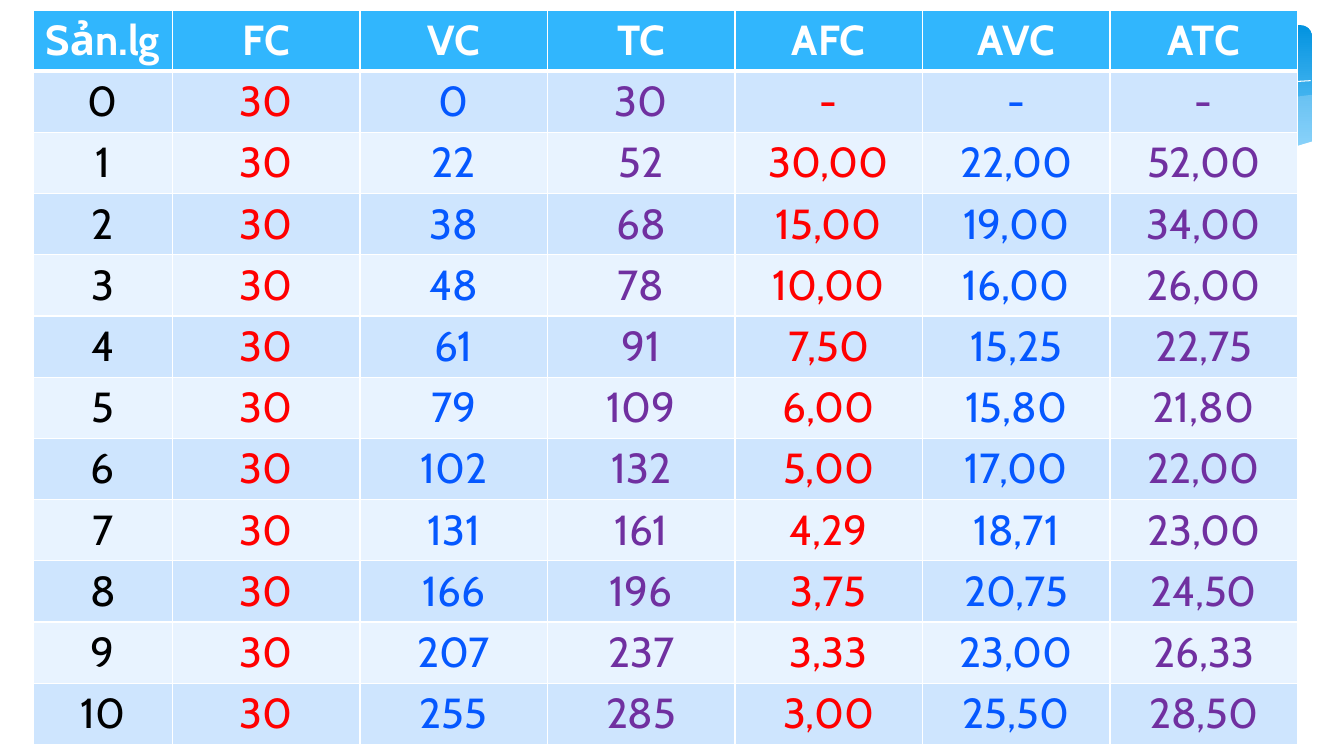
from lxml import etree
from pptx import Presentation
from pptx.dml.color import RGBColor
from pptx.enum.shapes import MSO_SHAPE as Preset
from pptx.enum.text import MSO_ANCHOR as Anchor, PP_ALIGN as Align
from pptx.oxml import parse_xml
from pptx.oxml.ns import nsdecls, qn
from pptx.util import Inches, Pt

# Content: cost figures by quantity, averages follow from the totals
HEADERS = ["Sản.lg", "FC", "VC", "TC", "AFC", "AVC", "ATC"]
FIXED_COST = 30
VARIABLE_COSTS = [0, 22, 38, 48, 61, 79, 102, 131, 166, 207, 255]

COLORS = {
    "white": "FFFFFF", "header": "31B6FD", "band_dark": "CEE5FE", "band_light": "E8F3FF",
    "quantity": "000000", "fixed": "FF0000", "variable": "0558FF", "total": "7030A0",
    "banner_top": "0293E0", "banner_bottom": "83D3FE", "swell": "C6E7FC",
}
COLUMN_COLORS = ["quantity"] + ["fixed", "variable", "total"] * 2
COLUMN_WIDTHS = [1.38] + [1.86] * 6
TABLE_LEFT, TABLE_TOP, TABLE_HEIGHT = 0.33, 0.1, 7.2
FONT = {"name": "Cabin", "size": Pt(30)}

# Banner waves, as outline points in inches
SWELL = [(13.01, 0.94), (12.46, 1.01), (11.88, 1.1), (11.1, 1.25), (10.05, 1.43),
         (8.82, 1.6), (9.58, 1.67), (10.41, 1.72), (11.13, 1.72), (11.86, 1.66),
         (12.47, 1.56), (13.01, 1.42)]
CREST = [(8.18, 1.51), (8.96, 1.35), (9.97, 1.17), (11.15, 0.99), (11.94, 0.88),
         (12.5, 0.83), (13, 0.8)]
BASE = [(13.03, 1.4), (12.66, 1.51), (12.13, 1.62), (11.51, 1.69), (10.78, 1.71),
        (9.92, 1.68), (8.91, 1.6), (7.72, 1.44), (6.34, 1.21), (5.21, 1.02),
        (4.21, 0.88), (3.33, 0.81), (2.58, 0.78), (1.76, 0.81), (1.01, 0.89),
        (0.54, 1), (0.31, 1.07), (0.31, 2.24), (13.03, 2.24)]


def rgb(name):
    return RGBColor.from_string(COLORS[name])


def paint(target, name):
    target.fill.solid()
    target.fill.fore_color.rgb = rgb(name)


def add_outline(points, closed=True):
    start, *rest = [(Inches(x), Inches(y)) for x, y in points]
    builder = slide.shapes.build_freeform(*start)
    builder.add_line_segments(rest, close=closed)
    shape = builder.convert_to_shape()
    shape.shadow.inherit = False
    return shape


def add_borders(cell, widths):
    properties = cell._tc.get_or_add_tcPr()
    for index, (side, width) in enumerate(widths.items()):
        properties.insert(index, parse_xml(
            f'<a:ln{side} {nsdecls("a")} w="{Pt(width)}"><a:solidFill>'
            f'<a:srgbClr val="{COLORS["white"]}"/></a:solidFill></a:ln{side}>'))


def decimal(value):
    return f"{value:.2f}".replace(".", ",")


def cost_row(quantity, variable):
    totals = [FIXED_COST, variable, FIXED_COST + variable]
    averages = [decimal(cost / quantity) if quantity else "-" for cost in totals]
    return [str(value) for value in [quantity, *totals]] + averages


presentation = Presentation()
presentation.slide_width, presentation.slide_height = Inches(13.33), Inches(7.5)
slide = presentation.slides.add_slide(presentation.slide_layouts[6])

# Banner behind the table
banner = slide.shapes.add_shape(Preset.ROUNDED_RECTANGLE, Inches(0.33), Inches(0.25),
                                Inches(12.68), Inches(1.56))
banner.adjustments[0] = 0.07
banner.shadow.inherit = False
banner.line.fill.background()
banner.fill.gradient()
banner.fill.gradient_angle = 270
for stop, (position, name) in zip(banner.fill.gradient_stops,
                                  [(0, "banner_top"), (0.9, "banner_bottom")]):
    stop.position = position
    stop.color.rgb = rgb(name)

# Waves across the banner
swell = add_outline(SWELL)
paint(swell, "swell")
swell.line.fill.background()
swell_color = swell._element.spPr.find(qn("a:solidFill"))[0]
etree.SubElement(swell_color, qn("a:alpha")).set("val", "29000")

crest = add_outline(CREST, closed=False)
crest.fill.background()
crest.line.color.rgb = rgb("white")
crest.line.width = Pt(0)

base = add_outline(BASE)
paint(base, "white")
base.line.fill.background()

# Cost table
rows = [HEADERS] + [cost_row(*pair) for pair in enumerate(VARIABLE_COSTS)]
table = slide.shapes.add_table(len(rows), len(HEADERS), Inches(TABLE_LEFT), Inches(TABLE_TOP),
                               Inches(sum(COLUMN_WIDTHS)), Inches(TABLE_HEIGHT)).table
table.first_row = table.horz_banding = False
for column, width in zip(table.columns, COLUMN_WIDTHS):
    column.width = Inches(width)

for row_index, row in enumerate(rows):
    is_header = row_index == 0
    band = "header" if is_header else "band_dark" if row_index % 2 else "band_light"
    borders = {"L": 1, "R": 1, "T": 3 if row_index == 1 else 1, "B": 3 if is_header else 1}
    for column_index, text in enumerate(row):
        cell = table.cell(row_index, column_index)
        cell.vertical_anchor = Anchor.TOP
        paint(cell, band)
        add_borders(cell, borders)
        paragraph = cell.text_frame.paragraphs[0]
        paragraph.alignment = Align.CENTER
        run = paragraph.add_run()
        run.text = text
        for attribute, value in {**FONT, "bold": is_header}.items():
            setattr(run.font, attribute, value)
        run.font.color.rgb = rgb("white" if is_header else COLUMN_COLORS[column_index])

presentation.save("out.pptx")
